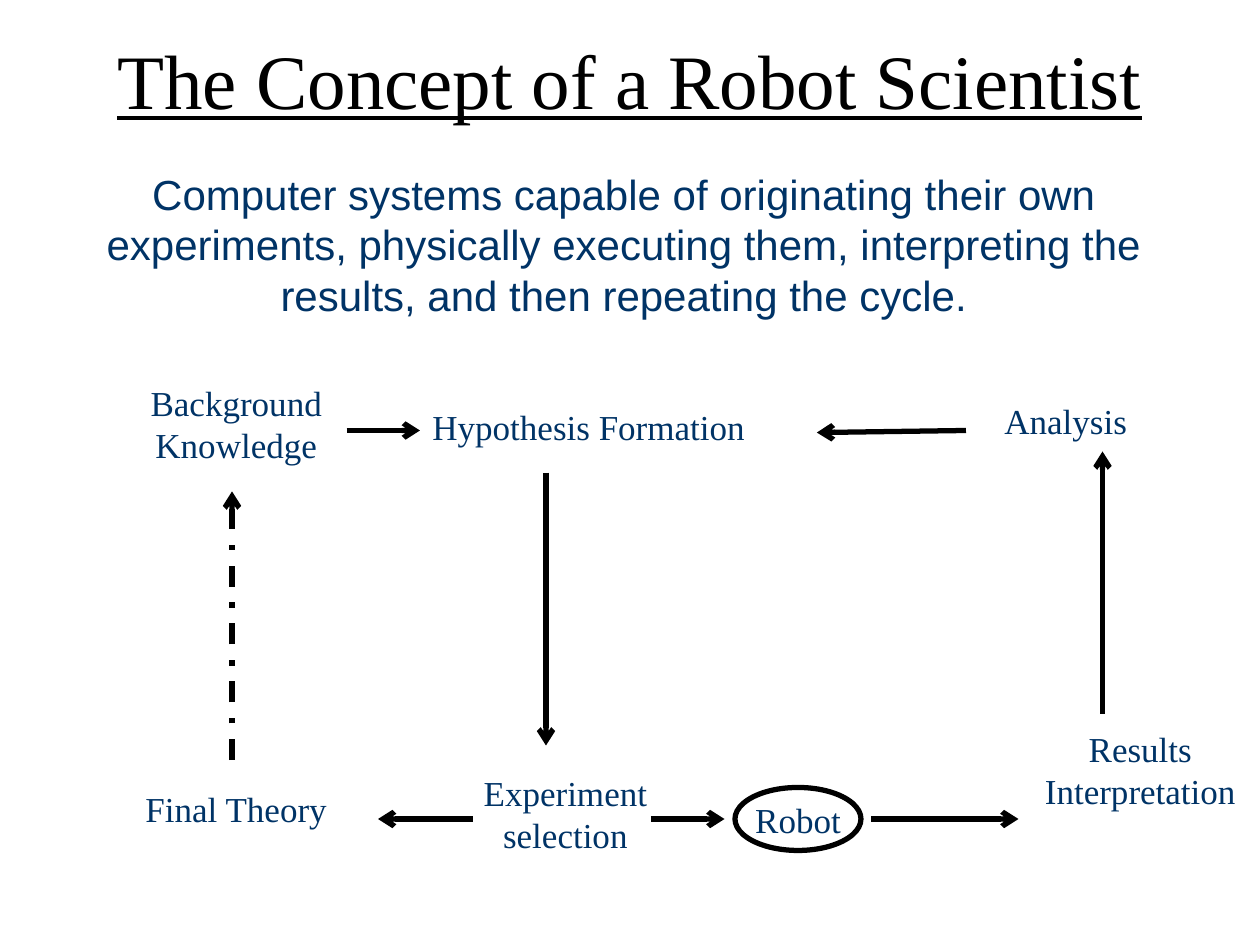
"""Build the robot scientist cycle slide on a grid of 120 columns by 90 rows."""
import pptx
import pptx.dml.color
import pptx.enum.dml
import pptx.enum.shapes
import pptx.enum.text
import pptx.oxml.ns
import pptx.util
from lxml import etree

COLUMNS, ROWS = 120, 90
BLACK, NAVY = "000000", "003366"
SERIF, SANS = "Times New Roman", "Arial"
ALIGN = pptx.enum.text.PP_ALIGN
ANCHOR = pptx.enum.text.MSO_ANCHOR

presentation = pptx.Presentation()
presentation.slide_width = pptx.util.Inches(10)
presentation.slide_height = pptx.util.Inches(7.5)
slide = presentation.slides.add_slide(presentation.slide_layouts[6])


def color(value):
    return pptx.dml.color.RGBColor.from_string(value)


def grid(*positions):
    steps = (presentation.slide_width / COLUMNS, presentation.slide_height / ROWS)
    return [round(position * steps[index % 2]) for index, position in enumerate(positions)]


label_format = {"name": SERIF, "size": pptx.util.Pt(20), "underline": None}
title_format = {"name": SERIF, "size": pptx.util.Pt(44), "underline": True}
summary_format = {"name": SANS, "size": pptx.util.Pt(24), "underline": None}

summary = (
    "Computer systems capable of originating their own experiments, "
    "physically executing them, interpreting the results, and then repeating the cycle."
)
texts = [
    ("The Concept of a Robot Scientist", (0, 0, 120, 15), title_format, BLACK),
    (summary, (4, 15.4, 110.8, 15.7), summary_format, NAVY),
    ("Background Knowledge", (7, 35.75, 31, 9.25), label_format, NAVY),
    ("Analysis", (89, 37.4, 25, 5.2), label_format, NAVY),
    ("Final Theory", (8, 74.4, 29, 5.2), label_format, NAVY),
    ("Experiment selection", (42.4, 72.85, 22.9, 9.25), label_format, NAVY),
    ("Robot", (65, 75.4, 22, 5.2), label_format, NAVY),
    ("Results Interpretation", (94.9, 68.65, 27.4, 9.25), label_format, NAVY),
    ("Hypothesis Formation", (40, 38, 32.2, 5.2), label_format, NAVY),
]
arrows = [
    ((52, 45), (52, 71), None),
    ((92, 41), (77.8, 41.2), None),
    ((45, 78), (36, 78), None),
    ((33, 41), (40, 41), None),
    ((62, 78), (69, 78), None),
    ((83, 78), (97, 78), None),
    ((105, 68), (105, 43), None),
    ((22.1, 72.4), (22.1, 46.8), pptx.enum.dml.MSO_LINE.DASH_DOT),
]

robot_ring = slide.shapes.add_shape(pptx.enum.shapes.MSO_SHAPE.OVAL, *grid(70, 75, 12, 6))
robot_ring.shadow.inherit = False
robot_ring.fill.background()
robot_ring.line.color.rgb = color(BLACK)
robot_ring.line.width = pptx.util.Pt(3)

for start, end, dash in arrows:
    arrow = slide.shapes.add_connector(
        pptx.enum.shapes.MSO_CONNECTOR.STRAIGHT, *grid(*start, *end)
    )
    line_format = {"width": pptx.util.Pt(3), "dash_style": dash}
    for name, value in line_format.items():
        setattr(arrow.line, name, value)
    arrow.line.color.rgb = color(BLACK)
    properties = arrow.element.spPr
    etree.SubElement(arrow.line._get_or_add_ln(), pptx.oxml.ns.qn("a:tailEnd"), type="arrow")
    etree.SubElement(properties, pptx.oxml.ns.qn("a:effectLst"))

for text, box, font_format, font_color in texts:
    shape = slide.shapes.add_textbox(*grid(*box))
    is_hypothesis = text == "Hypothesis Formation"
    frame_format = {
        "word_wrap": not is_hypothesis,
        "vertical_anchor": ANCHOR.TOP if is_hypothesis else ANCHOR.MIDDLE,
    }
    for name, value in frame_format.items():
        setattr(shape.text_frame, name, value)
    paragraph = shape.text_frame.paragraphs[0]
    paragraph.alignment = ALIGN.LEFT if is_hypothesis else ALIGN.CENTER
    run = paragraph.add_run()
    run.text = text
    for name, value in font_format.items():
        setattr(run.font, name, value)
    run.font.color.rgb = color(font_color)

presentation.save("out.pptx")
